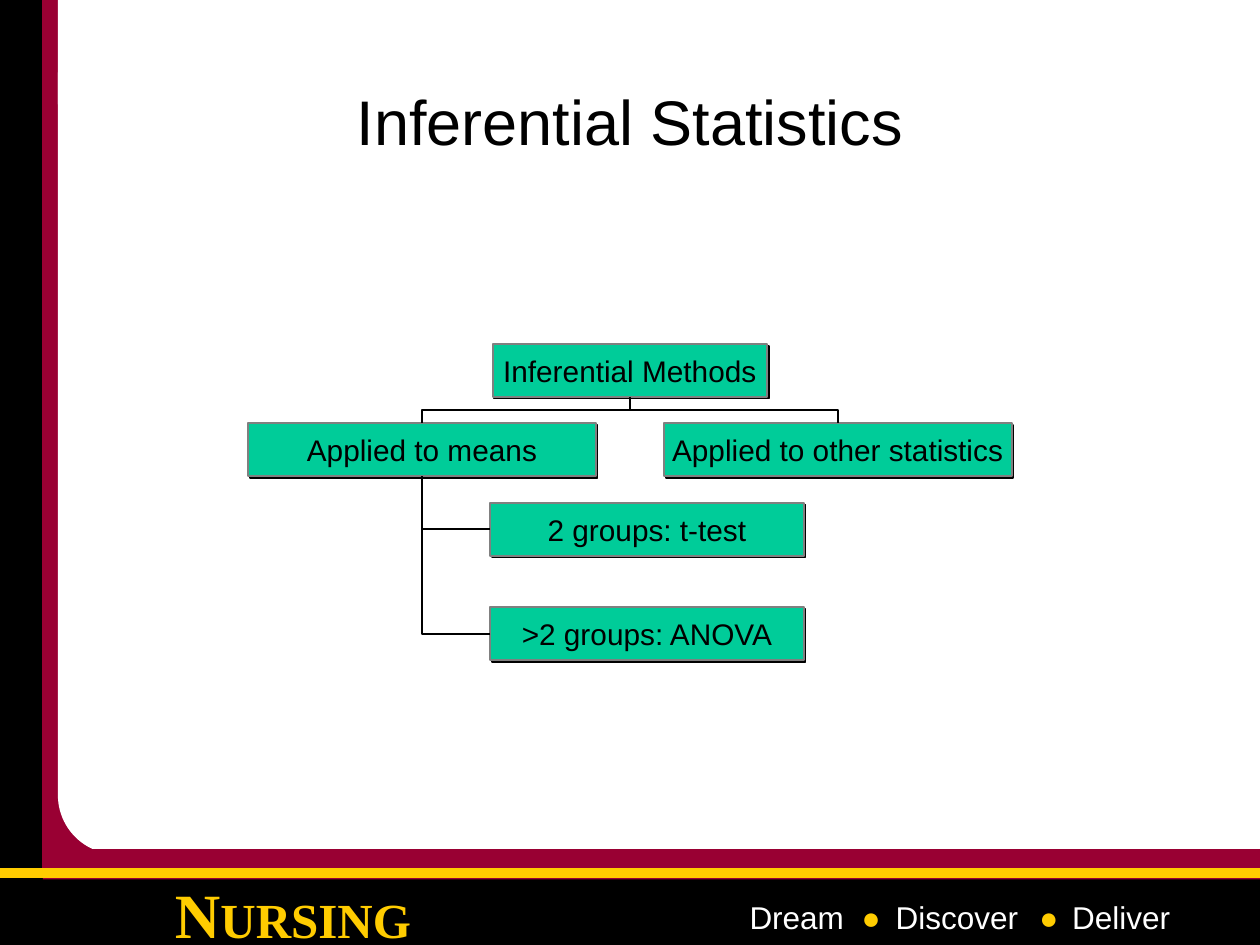
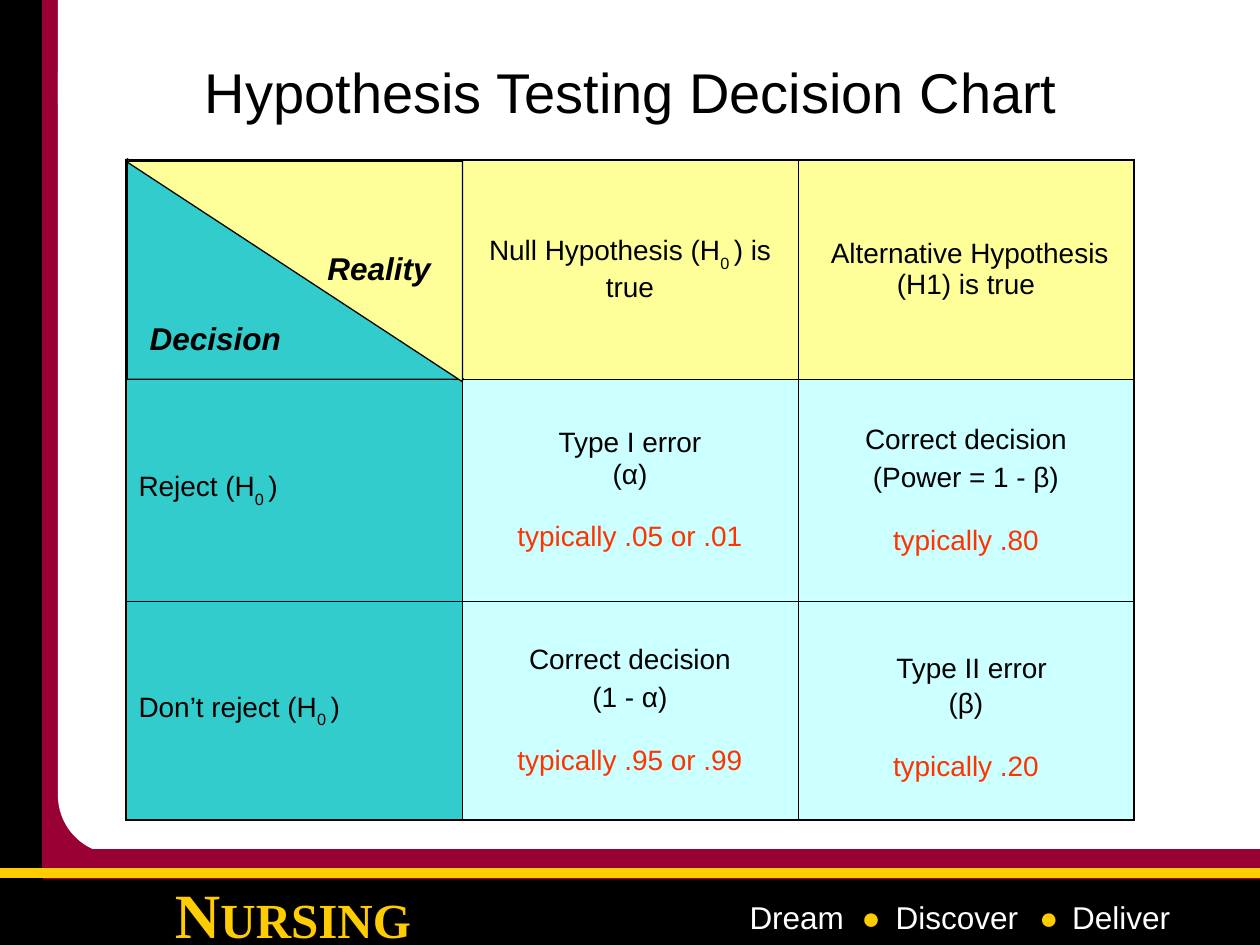
"""Build two statistics slides: a method tree and a hypothesis decision table."""
from typing import Any, NamedTuple

from lxml.etree import SubElement
from pptx import Presentation
from pptx.dml.color import RGBColor
from pptx.enum.shapes import MSO_CONNECTOR, MSO_SHAPE
from pptx.enum.text import MSO_ANCHOR, MSO_AUTO_SIZE, PP_ALIGN
from pptx.oxml.ns import qn
from pptx.util import Pt

EMU_PER_PX = 9144
BLACK, WHITE, MAROON, GOLD = "000000", "FFFFFF", "990033", "FFCC00"
GREEN, GRAY, RED = "00CC99", "808080", "FF3300"
YELLOW, TEAL, PALE = "FFFF99", "33CCCC", "CCFFFF"


class Area(NamedTuple):
    left: int
    top: int
    width: int
    height: int


class Span(NamedTuple):
    text: str
    size: int = 16
    color: str = BLACK
    font: str = "Arial"
    bold: bool = False
    italic: bool = False
    baseline: int = 0


class Para(NamedTuple):
    spans: list[Span]
    align: PP_ALIGN = PP_ALIGN.CENTER
    format: dict[str, Any] = {}
    first_indent: int = 0
    tabs: tuple[int, ...] = ()


class Panel(NamedTuple):
    area: Area
    fill: str
    line: str | None = None
    preset: MSO_SHAPE = MSO_SHAPE.RECTANGLE
    line_width: float = 0.75
    rotation: int = 0


class Entry(NamedTuple):
    fill: str | None
    paras: list[Para]


MIDDLE = {"vertical_anchor": MSO_ANCHOR.MIDDLE, "word_wrap": True,
          "auto_size": MSO_AUTO_SIZE.NONE}
WRAPPED = {"word_wrap": True, "auto_size": MSO_AUTO_SIZE.NONE}
FITTED = {"word_wrap": False, "auto_size": MSO_AUTO_SIZE.SHAPE_TO_FIT_TEXT}

FRAME_BACK = [
    Panel(Area(32, 0, 43, 750), MAROON),
    Panel(Area(104, 75, 896, 675), WHITE),
    Panel(Area(0, 0, 33, 750), BLACK, BLACK),
    Panel(Area(0, 696, 1000, 54), BLACK, BLACK),
    Panel(Area(46, 12, 281, 666), WHITE, preset=MSO_SHAPE.ROUNDED_RECTANGLE),
    Panel(Area(46, 0, 64, 83), WHITE),
]
BOTTOM_BAND = Panel(Area(34, 674, 966, 24), MAROON)
SCHOOL = Para([Span("N", 36, GOLD, "Times New Roman", True),
               Span("URSING", 28, GOLD, "Times New Roman", True)])
MOTTO = Para([Span("Dream\t", 18, WHITE), Span("●\t", 18, GOLD),
              Span("Discover\t", 18, WHITE), Span("●\t", 18, GOLD),
              Span("Deliver", 18, WHITE)],
             PP_ALIGN.LEFT, tabs=(89, 116, 230, 256))

METHODS = {
    "Inferential Methods": Area(391, 273, 218, 42),
    "Applied to means": Area(197, 336, 276, 42),
    "Applied to other statistics": Area(527, 336, 276, 42),
    "2 groups: t-test": Area(389, 399, 249, 42),
    ">2 groups: ANOVA": Area(389, 482, 249, 42),
}


def px(length: int) -> int:
    """Turn a length in px into EMU."""
    return length * EMU_PER_PX


def emu(area: Area) -> list[int]:
    """Turn an area in px into EMU."""
    return [px(length) for length in area]


def rgb(color: str) -> RGBColor:
    """Turn a hex string into a colour."""
    return RGBColor.from_string(color)


def apply(target: Any, values: dict[str, Any]) -> None:
    """Set each named format value on the target."""
    for name, value in values.items():
        setattr(target, name, value)


def write(frame: Any, paras: list[Para], values: dict[str, Any]) -> None:
    """Fill a text frame with formatted paragraphs."""
    apply(frame, values)
    for index, content in enumerate(paras):
        para = frame.add_paragraph() if index else frame.paragraphs[0]
        properties = para._p.get_or_add_pPr()
        if content.first_indent:
            properties.set("indent", str(px(content.first_indent)))
        if content.tabs:
            stops = SubElement(properties, qn("a:tabLst"))
            for position in content.tabs:
                SubElement(stops, qn("a:tab"), pos=str(px(position)), algn="l")
        apply(para, {"alignment": content.align, **content.format})
        for span in content.spans:
            run = para.add_run()
            run.text = span.text
            apply(run.font, {"name": span.font, "size": Pt(span.size),
                             "bold": span.bold, "italic": span.italic})
            run.font.color.rgb = rgb(span.color)
            if span.baseline:
                run._r.get_or_add_rPr().set("baseline", str(span.baseline * 1000))


def add_panel(slide: Any, panel: Panel) -> Any:
    """Draw a filled preset shape."""
    shape = slide.shapes.add_shape(panel.preset, *emu(panel.area))
    shape.shadow.inherit = False
    shape.rotation = panel.rotation
    shape.fill.solid()
    shape.fill.fore_color.rgb = rgb(panel.fill)
    if panel.line:
        shape.line.color.rgb = rgb(panel.line)
        shape.line.width = Pt(panel.line_width)
    else:
        shape.line.fill.background()
    return shape


def add_text(slide: Any, area: Area, para: Para, values: dict[str, Any]) -> None:
    """Place a text box."""
    box = slide.shapes.add_textbox(*emu(area))
    write(box.text_frame, [para], values)


def style_line(line: Any, color: str, width: float) -> None:
    """Colour a connector and take away its shadow."""
    line.line.color.rgb = rgb(color)
    line.line.width = Pt(width)
    SubElement(line.element.spPr, qn("a:effectLst"))


def move_frame_to_layout(slide: Any) -> None:
    """Draw the bands and footer once and hand them to the layout."""
    layout = slide.slide_layout
    tree = layout.shapes.element
    for holder in list(layout.placeholders):
        if holder.placeholder_format.idx:
            tree.remove(holder.element)
    for panel in FRAME_BACK:
        add_panel(slide, panel)
    add_text(slide, Area(116, 690, 233, 63), SCHOOL, WRAPPED)
    add_panel(slide, BOTTOM_BAND)
    stripe = slide.shapes.add_connector(
        MSO_CONNECTOR.STRAIGHT, 0, px(693), px(1000), px(693))
    style_line(stripe, GOLD, 6)
    add_text(slide, Area(585, 708, 399, 40), MOTTO, WRAPPED)
    for shape in list(slide.shapes):
        if not shape.is_placeholder:
            tree.append(shape.element)


def set_title(slide: Any, text: str, size: int, area: Area) -> None:
    """Move and fill the title placeholder."""
    title = slide.shapes.title
    apply(title, dict(zip(Area._fields, emu(area))))
    write(title.text_frame, [Para([Span(text, size)])], MIDDLE)


def add_method(slide: Any, name: str, area: Area) -> Any:
    """Draw one box of the method tree with a hard shadow."""
    box = add_panel(slide, Panel(area, GREEN, GRAY, line_width=1))
    effects = box.element.spPr.find(qn("a:effectLst"))
    shadow = SubElement(effects, qn("a:outerShdw"), blurRad="0",
                        dist=str(Pt(1.4)), dir="2700000", algn="ctr", rotWithShape="0")
    SubElement(shadow, qn("a:srgbClr"), val=BLACK)
    margins = {"margin_left": px(7), "margin_right": px(7),
               "margin_top": px(3), "margin_bottom": px(3)}
    write(box.text_frame, [Para([Span(name, 17)])],
          {**MIDDLE, "word_wrap": False, **margins})
    return box


def join(slide: Any, start: Any, start_site: int, end: Any, end_site: int,
         preset: str, quarter_turns: int) -> None:
    """Join two boxes with an elbow turned clockwise by quarter turns."""
    elbow = slide.shapes.add_connector(MSO_CONNECTOR.ELBOW, 0, 0, 0, 0)
    elbow.begin_connect(start, start_site)
    elbow.end_connect(end, end_site)
    middle_x = (elbow.begin_x + elbow.end_x) // 2
    middle_y = (elbow.begin_y + elbow.end_y) // 2
    x, y = elbow.begin_x - middle_x, elbow.begin_y - middle_y
    for _ in range(quarter_turns):
        x, y = y, -x
    apply(elbow, {"begin_x": middle_x + x, "begin_y": middle_y + y,
                  "end_x": middle_x - x, "end_y": middle_y - y})
    properties = elbow.element.spPr
    properties.find(qn("a:xfrm")).set("rot", str(quarter_turns * 5400000))
    properties.find(qn("a:prstGeom")).set("prst", preset)
    style_line(elbow, BLACK, 1)


def build_methods(slide: Any) -> None:
    """Draw the tree of inferential methods."""
    set_title(slide, "Inferential Statistics", 36, Area(75, 33, 850, 125))
    root, means, others, *tests = [
        add_method(slide, name, area) for name, area in METHODS.items()]
    for branch in (means, others):
        join(slide, root, 2, branch, 0, "bentConnector3", 1)
    for test in tests:
        join(slide, test, 1, means, 2, "bentConnector2", 2)


def null_para(before: str, after: str, align: PP_ALIGN) -> Para:
    """Name the null hypothesis with its subscript."""
    return Para([Span(before + " (H"), Span("0 ", baseline=-30), Span(after)], align)


def outcome(name: str, symbol: str, typical: str, gap: int,
            first: dict[str, Any] = {}, indent: int = 0) -> Entry:
    """Describe one outcome cell of the decision table."""
    return Entry(PALE, [
        Para([Span(name)], format=first, first_indent=indent),
        Para([Span(symbol)], format={"space_before": Pt(gap)}),
        Para([Span("typically " + typical, color=RED)],
             format={"space_before": Pt(18)}),
    ])


def decision_rows() -> list[list[Entry]]:
    """List the cells of the decision table by row."""
    return [
        [Entry(None, []),
         Entry(YELLOW, [null_para("Null Hypothesis", ") is true", PP_ALIGN.CENTER)]),
         Entry(YELLOW, [Para([Span("Alternative Hypothesis (H1) is true")],
                             first_indent=6)])],
        [Entry(TEAL, [null_para("Reject", ")", PP_ALIGN.LEFT)]),
         outcome("Type I error", "(α)", ".05 or .01", 0),
         outcome("Correct decision", "(Power = 1 - β)", ".80", 4)],
        [Entry(TEAL, [null_para("Don’t reject", ")", PP_ALIGN.LEFT)]),
         outcome("Correct decision", "(1 - α)", ".95 or .99", 4),
         outcome("Type II error", "(β)", ".20", 2, {"line_spacing": Pt(26)}, 9)],
    ]


def style_cell(cell: Any, fill: str | None, outer: dict[str, bool]) -> None:
    """Set the borders and fill of a cell."""
    properties = cell._tc.get_or_add_tcPr()
    for side, is_outer in outer.items():
        border = SubElement(properties, qn(f"a:ln{side}"),
                            w=str(Pt(1.08 if is_outer else 0.45)))
        paint = SubElement(border, qn("a:solidFill"))
        SubElement(paint, qn("a:srgbClr"), val=BLACK)
    if fill:
        cell.fill.solid()
        cell.fill.fore_color.rgb = rgb(fill)
    else:
        cell.fill.background()


def build_decisions(slide: Any) -> None:
    """Draw the decision table and its split corner."""
    set_title(slide, "Hypothesis Testing Decision Chart", 32, Area(107, 20, 788, 104))
    rows = decision_rows()
    table = slide.shapes.add_table(3, 3, *emu(Area(100, 127, 800, 524))).table
    apply(table, {"first_row": False, "horz_banding": False})
    for row, height in zip(table.rows, (174, 176, 174)):
        row.height = px(height)
    for row, entries in enumerate(rows):
        for column, entry in enumerate(entries):
            cell = table.cell(row, column)
            style_cell(cell, entry.fill, {"L": column == 0, "R": column == 2,
                                          "T": row == 0, "B": row == 2})
            cell.vertical_anchor = MSO_ANCHOR.MIDDLE
            write(cell.text_frame, entry.paras, {})
    triangle = MSO_SHAPE.RIGHT_TRIANGLE
    add_panel(slide, Panel(Area(101, 126, 267, 175), TEAL, BLACK, triangle))
    add_panel(slide, Panel(Area(100, 128, 267, 175), YELLOW, BLACK, triangle, rotation=180))
    decision, reality = [
        Para([Span(name, 18, bold=True, italic=True)], PP_ALIGN.LEFT)
        for name in ("Decision", "Reality")]
    label = add_panel(slide, Panel(Area(109, 248, 124, 40), TEAL))
    write(label.text_frame, [decision], {**FITTED, "vertical_anchor": MSO_ANCHOR.TOP})
    add_text(slide, Area(250, 193, 102, 40), reality, FITTED)


def main() -> None:
    """Build and save the deck."""
    deck = Presentation()
    deck.slide_width, deck.slide_height = px(1000), px(750)
    layout = deck.slide_layouts.get_by_name("Title Only")
    methods, decisions = [deck.slides.add_slide(layout) for _ in range(2)]
    move_frame_to_layout(methods)
    build_methods(methods)
    build_decisions(decisions)
    deck.save("out.pptx")


if __name__ == "__main__":
    main()
